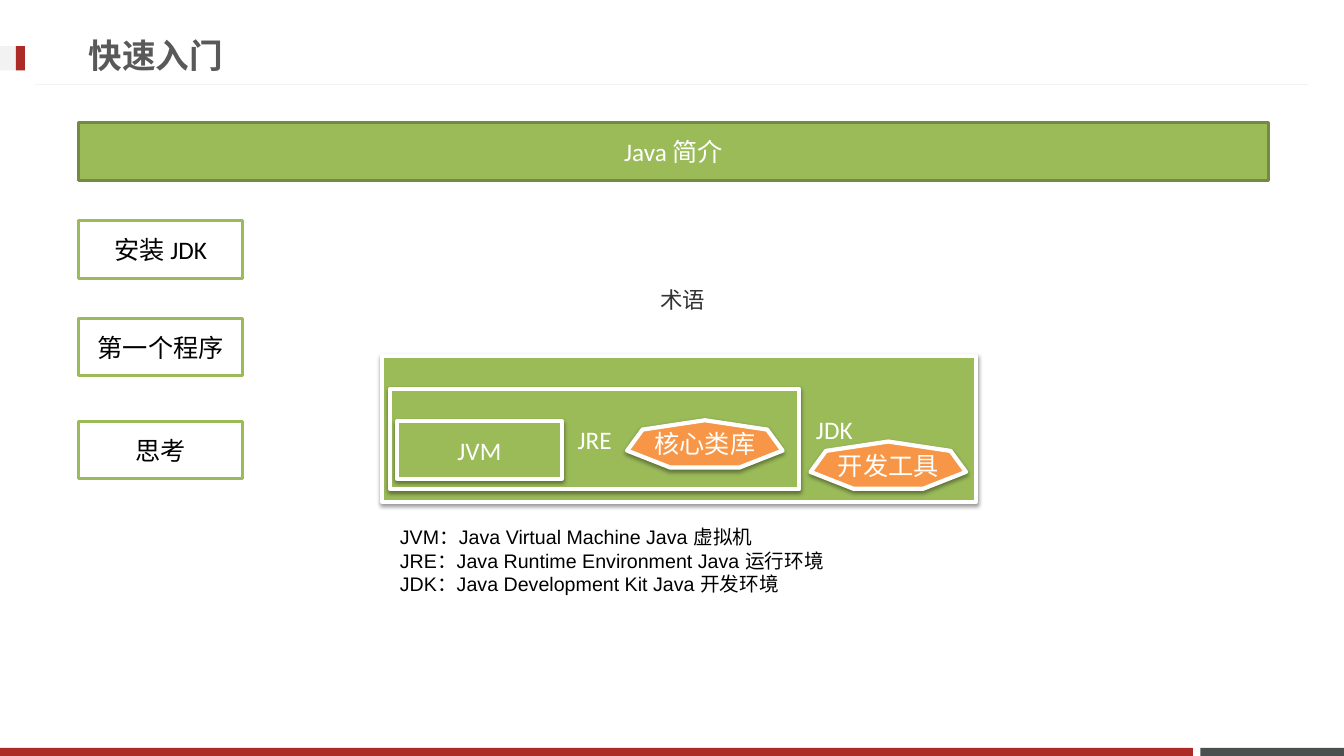
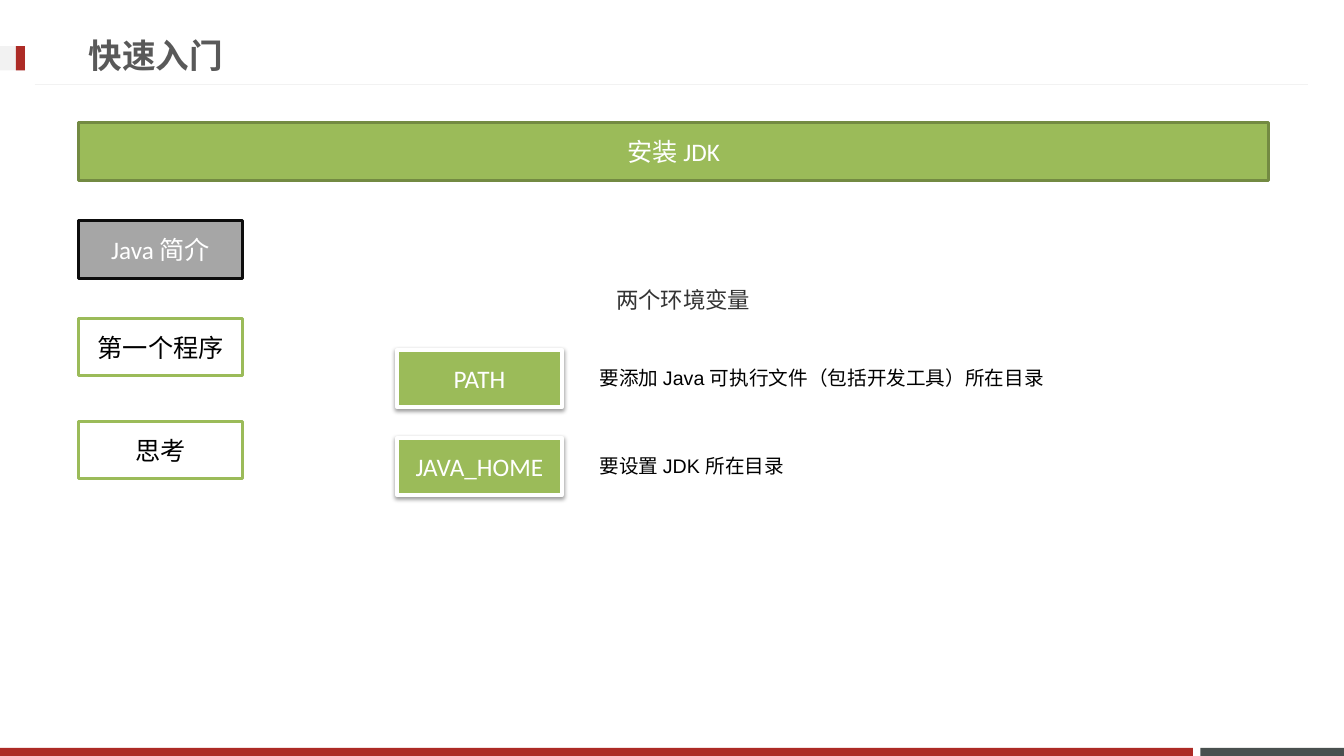
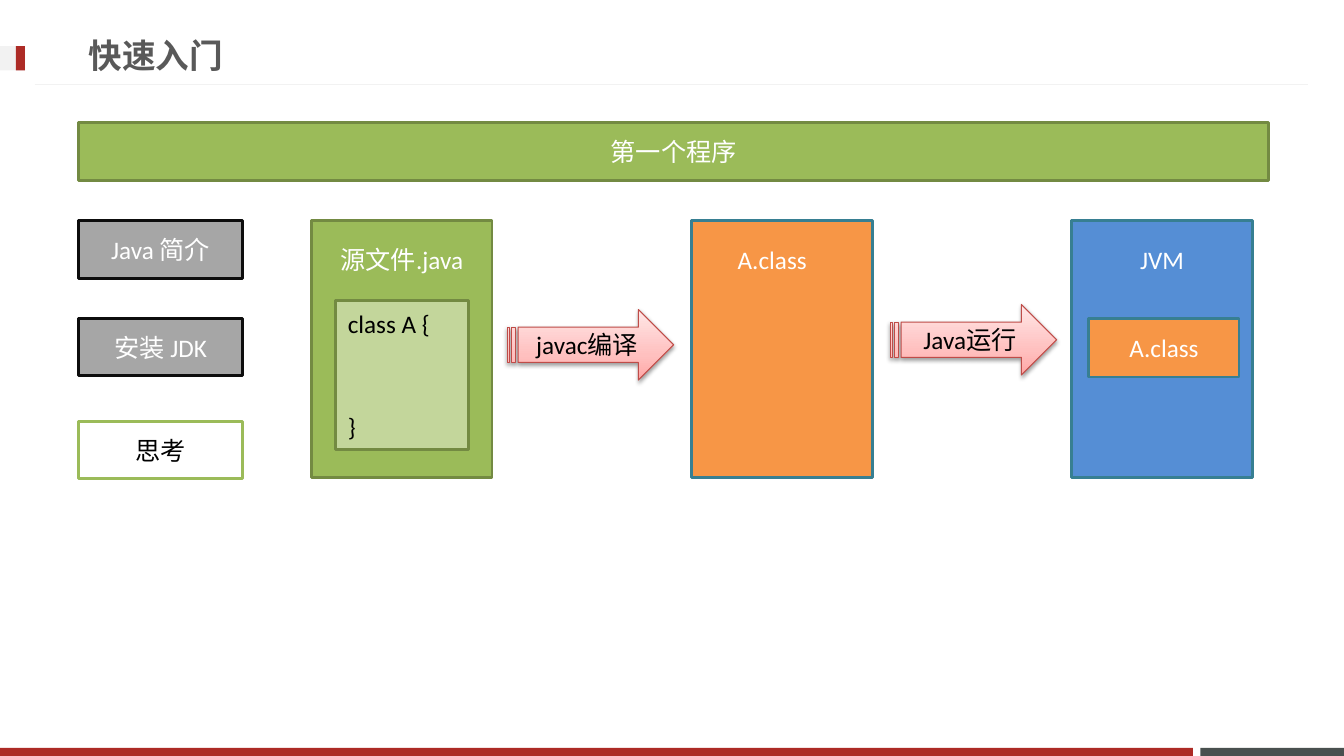
"""Build three slides that introduce the Java quick start."""
import collections
import dataclasses

import lxml.etree
import pptx
import pptx.dml.color
import pptx.enum.shapes
import pptx.enum.text
import pptx.oxml.ns
import pptx.util

Pt = pptx.util.Pt
qn = pptx.oxml.ns.qn
SHAPE = pptx.enum.shapes.MSO_SHAPE
ALIGN = pptx.enum.text.PP_ALIGN
ANCHOR = pptx.enum.text.MSO_ANCHOR


@dataclasses.dataclass(frozen=True)
class Theme:
    """Hold the colours, fonts and type sizes of the deck."""
    white: str = "FFFFFF"
    black: str = "000000"
    red: str = "AD2B26"
    slate: str = "49504F"
    mist: str = "F2F2F2"
    title: str = "595959"
    caption: str = "333333"
    green: str = "9BBB59"
    green_edge: str = "738A42"
    green_pale: str = "C3D69B"
    grey: str = "A6A6A6"
    grey_edge: str = "0D0D0D"
    orange: str = "F79646"
    blue: str = "558ED5"
    teal_edge: str = "377F92"
    arrow_edge: str = "BF4C48"
    arrow_stops: tuple = ((0, "FFA6A5"), (35, "FFC0BF"), (100, "FFE7E7"))
    label_font: str = "Calibri"
    caption_font: str = "Open Sans"
    note_font: str = "Arial"
    title_size: int = 24
    label_size: int = 18
    caption_size: int = 16
    note_size: int = 14


THEME = Theme()
TOPICS = ("Java 简介", "安装 JDK", "第一个程序", "思考")
Style = collections.namedtuple("Style", "fill edge weight ink shadow", defaults=(False,))
BANNER = Style(THEME.green, THEME.green_edge, 2, THEME.white)
DONE = Style(THEME.grey, THEME.grey_edge, 2, THEME.white)
AHEAD = Style(THEME.white, THEME.green, 2, THEME.black)
RAISED = Style(THEME.green, THEME.white, 3, THEME.white, True)
BADGE = Style(THEME.orange, THEME.white, 3, THEME.white, True)
CODE = Style(THEME.green_pale, THEME.green_edge, 2, THEME.black)
BYTECODE = Style(THEME.orange, THEME.teal_edge, 2, THEME.white)
MACHINE = Style(THEME.blue, THEME.teal_edge, 2, THEME.white)
ARROW = Style(None, THEME.arrow_edge, 0.75, THEME.black, True)


class Box(collections.namedtuple("Box", "left top width height")):
    """Describe a rectangle in points."""

    def inner(self, left, top, width, height):
        """Return a box placed relative to this one."""
        return Box(self.left + left, self.top + top, width, height)

    def lengths(self):
        """Return the four lengths as slide units."""
        return [Pt(value) for value in self]


def assign(target, values):
    """Set each named attribute of the target."""
    for name, value in values.items():
        setattr(target, name, value)


def color(code):
    """Return a colour from its hexadecimal code."""
    return pptx.dml.color.RGBColor.from_string(code)


def write(frame, lines, ink, font=THEME.label_font, size=THEME.label_size,
          align=ALIGN.CENTER, bold=False, gap=0, **layout):
    """Fill a text frame with formatted paragraphs."""
    assign(frame, {"word_wrap": True, "vertical_anchor": ANCHOR.MIDDLE, **layout})
    for index, line in enumerate(lines):
        para = frame.add_paragraph() if index else frame.paragraphs[0]
        assign(para, {"alignment": align, "space_before": Pt(gap if index else 0)})
        span = para.add_run()
        span.text = line
        assign(span.font, {"name": font, "size": Pt(size), "bold": bold})
        span.font.color.rgb = color(ink)


def add_color(parent, code):
    """Append a colour element to an XML parent."""
    return lxml.etree.SubElement(parent, qn("a:srgbClr"), val=code)


def cast_shadow(shape):
    """Give a shape a soft shadow below it."""
    effects = shape.element.spPr.find(qn("a:effectLst"))
    shadow = lxml.etree.SubElement(
        effects, qn("a:outerShdw"), blurRad=str(Pt(3.1)), dist=str(Pt(1.6)),
        dir="5400000", rotWithShape="0")
    lxml.etree.SubElement(add_color(shadow, THEME.black), qn("a:alpha"), val="38000")


def fill_gradient(shape):
    """Fill a shape with the arrow gradient, rising from the bottom."""
    shape.fill.gradient()
    shape.fill.gradient_angle = 90
    stops = shape.element.spPr.find(qn("a:gradFill")).find(qn("a:gsLst"))
    for stop in list(stops):
        stops.remove(stop)
    for percent, code in THEME.arrow_stops:
        stop = lxml.etree.SubElement(stops, qn("a:gs"), pos=str(percent * 1000))
        add_color(stop, code)


def add_block(page, box, style, lines=(), kind=SHAPE.RECTANGLE, **text):
    """Add a styled shape with optional text."""
    shape = page.shapes.add_shape(kind, *box.lengths())
    if style.fill:
        shape.fill.solid()
        shape.fill.fore_color.rgb = color(style.fill)
    else:
        fill_gradient(shape)
    if style.edge:
        shape.line.color.rgb = color(style.edge)
        shape.line.width = Pt(style.weight)
    else:
        shape.line.fill.background()
    shape.shadow.inherit = False
    if style.shadow:
        cast_shadow(shape)
    if lines:
        write(shape.text_frame, lines, style.ink, **text)


def add_note(page, box, *lines):
    """Add a plain left-aligned explanation."""
    frame = page.shapes.add_textbox(*box.lengths()).text_frame
    write(frame, lines, THEME.black, THEME.note_font, THEME.note_size,
          ALIGN.LEFT, vertical_anchor=ANCHOR.TOP)


def add_caption(page, box, text):
    """Add the centred caption above a diagram."""
    frame = page.shapes.add_textbox(*box.lengths()).text_frame
    write(frame, [text], THEME.caption, THEME.caption_font, THEME.caption_size,
          vertical_anchor=ANCHOR.TOP)


def add_frame(page, box):
    """Add the title, header mark, rule and footer bands."""
    bands = (
        ((857.5, 534.2, 102.5, 5.8), THEME.slate),
        ((0, 534.2, 852, 5.8), THEME.red),
        ((0, 33, 18, 17.3), THEME.mist),
        ((11.3, 33, 6.5, 17.3), THEME.red),
    )
    for place, fill in bands:
        add_block(page, box.inner(*place), Style(fill, None, 0, None))
    rule = page.shapes.add_connector(
        pptx.enum.shapes.MSO_CONNECTOR.STRAIGHT, Pt(25), Pt(60.3), Pt(934.5), Pt(60.3))
    rule.line.color.rgb = color(THEME.mist)
    rule.line.width = Pt(0.75)
    lxml.etree.SubElement(rule.element.spPr, qn("a:effectLst"))
    title = page.shapes.title
    places = box.inner(56, 18.7, 690, 41).lengths()
    assign(title, dict(zip(("left", "top", "width", "height"), places)))
    write(title.text_frame, ["快速入门"], THEME.title, size=THEME.title_size,
          align=ALIGN.LEFT, bold=True, auto_size=pptx.enum.text.MSO_AUTO_SIZE.NONE)


def add_topics(page, box, current):
    """Add the current topic as a banner and the others below it."""
    add_block(page, box.inner(0, 0, box.width, 41), BANNER, [TOPICS[current]])
    others = [index for index in range(len(TOPICS)) if index != current]
    for index, top in zip(others, (70, 139.7, 213.2)):
        style = DONE if index < current else AHEAD
        add_block(page, box.inner(0, top, 117.5, 41), style, [TOPICS[index]])


def add_terms(page, box):
    """Add the nested diagram of JDK, JRE and JVM with its notes."""
    add_caption(page, box.inner(5.6, -53.2, 418.5, 26.6), "术语")
    add_block(page, box, RAISED, ["JDK"], margin_left=Pt(229))
    add_block(page, box.inner(5.6, 23.8, 292.3, 71.3), RAISED, ["JRE"])
    add_block(page, box.inner(10.7, 46.8, 117.5, 41), RAISED, ["JVM"])
    for left, top, label in ((175, 46, "核心类库"), (306, 61.2, "开发工具")):
        add_block(page, box.inner(left, top, 111, 33.8), BADGE, [label], SHAPE.HEPTAGON)
    add_note(page, box.inner(5.6, 117.4, 322.6, 58.3),
             "JVM：Java Virtual Machine Java 虚拟机",
             "JRE：Java Runtime Environment Java 运行环境",
             "JDK：Java Development Kit Java 开发环境")


def add_variables(page, box):
    """Add the two environment variables with their meaning."""
    add_caption(page, box.inner(-5, -49, 418.5, 26.6), "两个环境变量")
    rows = (("PATH", 334.8, "要添加 Java 可执行文件（包括开发工具）所在目录"),
            ("JAVA_HOME", 148.3, "要设置 JDK 所在目录"))
    for index, (name, width, meaning) in enumerate(rows):
        row = box.inner(0, index * 62.8, 117.5, 41)
        add_block(page, row, RAISED, [name])
        add_note(page, row.inner(137.5, 8, width, 24.5), meaning)


def add_program(page, box):
    """Add the steps from source file to running class."""
    cards = [box.inner(step * 271.5, 0, 129, box.height) for step in range(3)]
    contents = (("源文件.java", BANNER, 7.2), ("A.class", BYTECODE, 21), ("JVM", MACHINE, 7.2))
    for card, (label, style, margin) in zip(cards, contents):
        add_block(page, card, style, [label], vertical_anchor=ANCHOR.TOP,
                  margin_top=Pt(17), margin_right=Pt(margin))
    source, compiled, machine = cards
    add_block(page, source.inner(17.3, 57, 95, 106.6), CODE, ["class A {", "}"],
              align=ALIGN.LEFT, gap=52, margin_left=Pt(8.6))
    add_block(page, machine.inner(12.3, 69.8, 107.3, 41.8), BYTECODE, ["A.class"])
    arrows = ((source, 139.7, 63.4, "javac编译"), (compiled, 141.8, 59.8, "Java运行"))
    for card, left, top, label in arrows:
        add_block(page, card.inner(left, top, 119, 50.4), ARROW, [label],
                  SHAPE.STRIPED_RIGHT_ARROW)


def main():
    """Build and save the deck."""
    deck = pptx.Presentation()
    assign(deck, {"slide_width": Pt(960), "slide_height": Pt(540)})
    regions = ((add_terms, Box(273, 254.2, 424, 104.4)),
               (add_variables, Box(283.7, 249.9, 418.5, 104)),
               (add_program, Box(222.5, 157.7, 672, 183.6)))
    for current, (add_region, box) in enumerate(regions):
        page = deck.slides.add_slide(deck.slide_layouts[5])
        add_frame(page, Box(0, 0, 960, 540))
        add_topics(page, Box(56, 87.8, 850.3, 254), current)
        add_region(page, box)
    deck.save("out.pptx")


if __name__ == "__main__":
    main()
